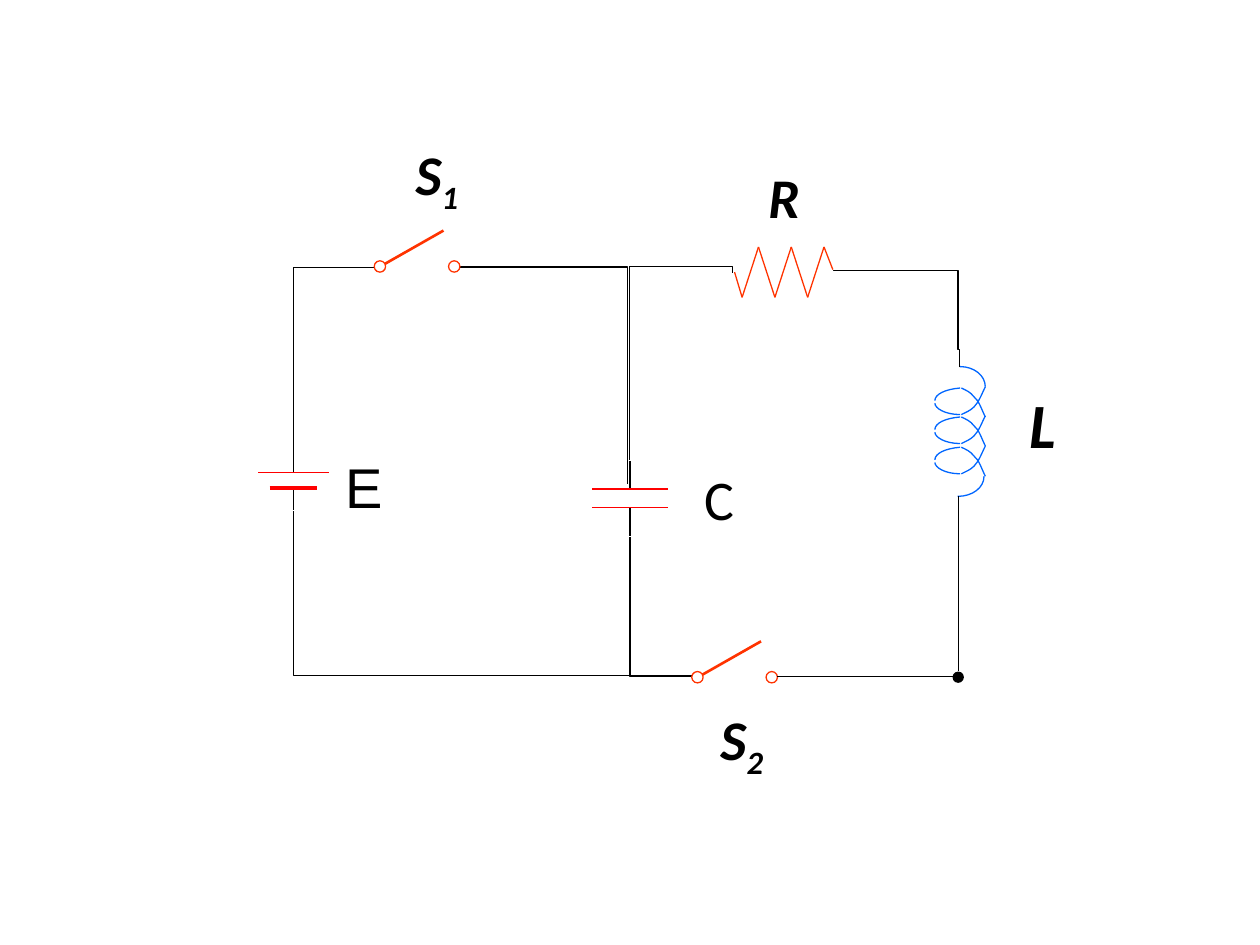
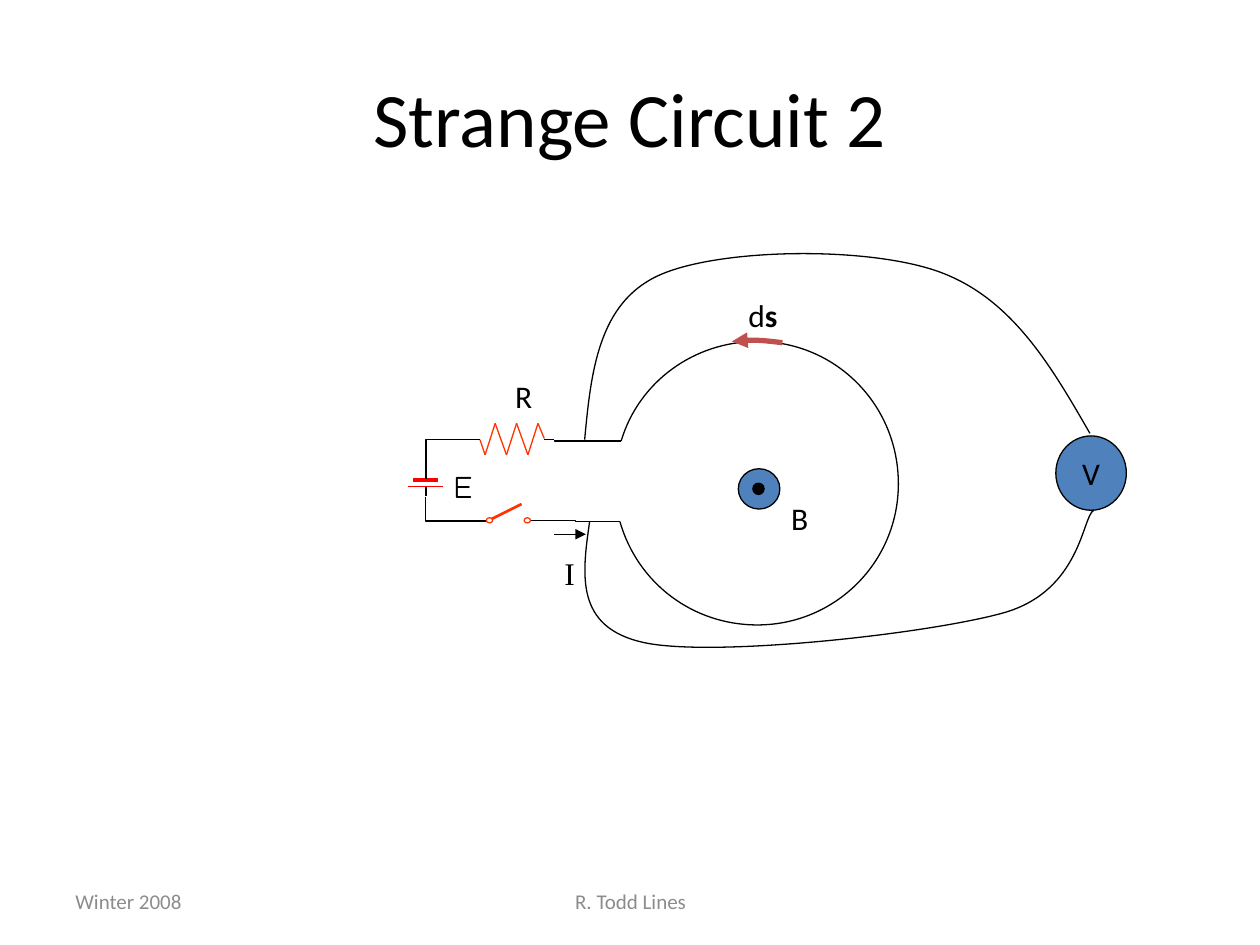
from dataclasses import dataclass
from itertools import pairwise

from lxml.etree import SubElement
from pptx import Presentation
from pptx.dml.color import RGBColor
from pptx.enum.shapes import MSO_CONNECTOR as Link, MSO_SHAPE as Preset
from pptx.enum.text import MSO_ANCHOR as Anchor, MSO_AUTO_SIZE as AutoSize, PP_ALIGN as Align
from pptx.oxml.ns import qn
from pptx.util import Emu, Pt

Point = tuple[int, int]


@dataclass(frozen=True)
class Theme:
    black: str = "000000"
    white: str = "FFFFFF"
    grey: str = "8C8C8C"
    red: str = "FF0000"
    orange: str = "FF3300"
    blue: str = "0066FF"
    disc: str = "4F81BD"
    arrow: str = "C0504D"
    font: str = "Calibri"
    title: int = 44
    inductor_label: int = 36
    large_label: int = 32
    small_label: int = 18
    footer: int = 12
    thin: float = 0.75
    lever: float = 1.5
    plate: float = 2.25
    thick: float = 3


THEME = Theme()


@dataclass(frozen=True)
class Elbow:
    left: int
    top: int
    width: int
    height: int
    kind: int
    turn: int = 0
    flip: str = ""
    bends: tuple[int, ...] = ()


@dataclass(frozen=True)
class Cell:
    x: int
    first_y: int
    second_y: int
    first_half: int
    second_half: int
    lead: int
    second_weight: float = THEME.plate


@dataclass(frozen=True)
class Switch:
    left: int
    top: int
    width: int
    height: int
    gap: int
    lever_start: Point
    lever_end: Point


@dataclass(frozen=True)
class Resistor:
    start: Point
    end: Point
    first_x: int
    last_x: int
    top: int
    bottom: int


@dataclass(frozen=True)
class Label:
    text: str
    left: int
    top: int
    width: int
    height: int
    size: int
    font: str = THEME.font
    emphasis: bool = False
    subscript: str = ""
    bold_tail: str = ""
    color: str = THEME.black
    align: Align = Align.LEFT
    wrap: bool = False


def px(length: float) -> Emu:
    return Emu(round(length * 9144))


def rgb(color: str) -> RGBColor:
    return RGBColor.from_string(color)


def style_line(shape, color: str, weight: float) -> None:
    shape.line.color.rgb = rgb(color)
    shape.line.width = Pt(weight)


def add_arrowhead(shape, end: str) -> None:
    SubElement(shape.line._get_or_add_ln(), qn(f"a:{end}"), type="triangle")


def add_link(shapes, kind: Link, start: Point, end: Point, color: str, weight: float):
    link = shapes.add_connector(kind, *map(px, start + end))
    style_line(link, color, weight)
    SubElement(link.element.spPr, qn("a:effectLst"))
    return link


def add_line(shapes, start: Point, end: Point, color: str = THEME.black, weight: float = THEME.thin):
    return add_link(shapes, Link.STRAIGHT, start, end, color, weight)


def add_elbow(shapes, elbow: Elbow) -> None:
    end = (elbow.left + elbow.width, elbow.top + elbow.height)
    link = add_link(shapes, Link.ELBOW, (elbow.left, elbow.top), end, THEME.black, THEME.thin)
    frame = link.element.spPr.find(qn("a:xfrm"))
    frame.set("rot", str(elbow.turn * 60000))
    for axis in elbow.flip:
        frame.set(f"flip{axis}", "1")
    geometry = link.element.spPr.find(qn("a:prstGeom"))
    geometry.set("prst", f"bentConnector{elbow.kind}")
    adjustments = geometry.find(qn("a:avLst"))
    for number, bend in enumerate(elbow.bends, 1):
        SubElement(adjustments, qn("a:gd"), name=f"adj{number}", fmla=f"val {bend}")


def add_curve(shapes, points: list[Point], color: str = THEME.black, weight: float = THEME.thin):
    start, *controls = [(px(x), px(y)) for x, y in points]
    builder = shapes.build_freeform(*start)
    builder.add_line_segments(controls, close=False)
    shape = builder.convert_to_shape()
    outline = next(shape.element.iter(qn("a:path")))
    segments = outline.findall(qn("a:lnTo"))
    for index in range(0, len(segments), 3):
        bezier = SubElement(outline, qn("a:cubicBezTo"))
        for segment in segments[index:index + 3]:
            bezier.append(segment[0])
            outline.remove(segment)
    shape.fill.background()
    shape.shadow.inherit = False
    style_line(shape, color, weight)
    return shape


def add_ellipse(shapes, left: int, top: int, width: int, height: int, fill: str, line: str = ""):
    shape = shapes.add_shape(Preset.OVAL, *map(px, (left, top, width, height)))
    shape.shadow.inherit = False
    shape.fill.solid()
    shape.fill.fore_color.rgb = rgb(fill)
    if line:
        style_line(shape, line, THEME.thin)
    else:
        shape.line.fill.background()
    return shape


def format_paragraph(paragraph, size: int, color: str, align: Align, font: str = THEME.font) -> None:
    paragraph.alignment = align
    paragraph.font.name = font
    paragraph.font.size = Pt(size)
    paragraph.font.color.rgb = rgb(color)


def add_label(shapes, label: Label) -> None:
    box = shapes.add_textbox(*map(px, (label.left, label.top, label.width, label.height)))
    frame = box.text_frame
    frame.word_wrap = label.wrap
    frame.auto_size = AutoSize.NONE if label.wrap else AutoSize.SHAPE_TO_FIT_TEXT
    frame.vertical_anchor = Anchor.MIDDLE if label.wrap else Anchor.TOP
    paragraph = frame.paragraphs[0]
    format_paragraph(paragraph, label.size, label.color, label.align, label.font)
    if label.emphasis:
        paragraph.font.bold = paragraph.font.italic = True
    paragraph.add_run().text = label.text
    if label.subscript:
        run = paragraph.add_run()
        run.text = label.subscript
        run.font._element.set("baseline", "-25000")
    if label.bold_tail:
        run = paragraph.add_run()
        run.text = label.bold_tail
        run.font.bold = True


def add_cell(shapes, cell: Cell) -> None:
    x = cell.x
    outward = cell.lead if cell.second_y > cell.first_y else -cell.lead
    add_line(shapes, (x, cell.first_y - outward), (x, cell.first_y))
    add_line(shapes, (x, cell.second_y), (x, cell.second_y + outward))
    for y, half, weight in ((cell.first_y, cell.first_half, THEME.thin),
                            (cell.second_y, cell.second_half, cell.second_weight)):
        add_line(shapes, (x - half, y), (x + half, y), THEME.red, weight)


def add_switch(shapes, switch: Switch) -> None:
    def contact(left: int) -> None:
        add_ellipse(shapes, left, switch.top, switch.width, switch.height, THEME.white, THEME.orange)

    start, end = [(switch.left + dx, switch.top + dy) for dx, dy in (switch.lever_start, switch.lever_end)]
    contact(switch.left + switch.gap)
    add_line(shapes, start, end, THEME.orange, THEME.lever)
    contact(switch.left)


def add_resistor(shapes, resistor: Resistor) -> None:
    step = (resistor.last_x - resistor.first_x) / 5
    peaks = [(round(resistor.first_x + step * index), resistor.top if index % 2 else resistor.bottom)
             for index in range(6)]
    for start, end in pairwise([resistor.start, *peaks, resistor.end]):
        add_line(shapes, start, end, THEME.orange)


def add_inductor(shapes) -> None:
    turn_curves = [
        [(782, 0), (779, 6), (777, 12), (773, 16), (770, 19), (767, 20), (763, 22)],
        [(742, 13), (742, 17), (750, 22), (762, 22)],
        [(782, 24), (779, 18), (777, 11), (773, 8), (770, 4), (767, 3), (763, 1)],
        [(742, 11), (742, 6), (750, 2), (762, 1)],
    ]
    for turn in range(3):
        top = 307 + turn * 47 // 2
        for curve in turn_curves:
            add_curve(shapes, [(x, top + y) for x, y in curve], THEME.blue)
    add_curve(shapes, [(782, 307), (782, 298), (773, 291), (762, 291)], THEME.blue)
    add_curve(shapes, [(781, 378), (781, 387), (772, 394), (760, 394)], THEME.blue)


def build_rlc_slide(presentation) -> None:
    shapes = presentation.slides.add_slide(presentation.slide_layouts[6]).shapes
    add_inductor(shapes)
    for elbow in (
        Elbow(331, 308, 128, 324, 3, 270, "V", (-1700,)),
        Elbow(691, 463, 139, 0, 3, 270, "HV", (4300,)),
        Elbow(673, 203, 77, 100, 5, 90, "H", (18000, 1100, 99500)),
        Elbow(233, 212, 65, 145, 4, 180, "V", (50000, 100)),
        Elbow(466, 250, 149, 82, 3, 90, "HV", (103300,)),
        Elbow(469, 457, 111, 49, 4, 270, "H", (99900, 50000)),
        Elbow(365, 212, 133, 172, 2),
    ):
        add_elbow(shapes, elbow)
    add_cell(shapes, Cell(500, 388, 403, 30, 30, 22, THEME.thin))
    add_cell(shapes, Cell(233, 375, 387, 28, 19, 18))
    add_resistor(shapes, Resistor((583, 216), (661, 214), 589, 654, 196, 236))
    for left, top in ((297, 207), (549, 533)):
        add_switch(shapes, Switch(left, top, 9, 9, 59, (4, 5), (55, -24)))
    add_line(shapes, (756, 537), (617, 537))
    add_ellipse(shapes, 756, 533, 9, 9, THEME.black)
    size = THEME.large_label
    for label in (
        Label("C", 549, 364, 55, 64, size),
        Label("L", 807, 301, 42, 71, THEME.inductor_label, emphasis=True),
        Label("E", 264, 354, 50, 64, size, "Arial"),
        Label("R", 600, 124, 45, 64, size, emphasis=True),
        Label("S", 320, 106, 56, 64, size, emphasis=True, subscript="1"),
        Label("S", 562, 554, 56, 64, size, emphasis=True, subscript="2"),
    ):
        add_label(shapes, label)


def build_strange_circuit_slide(presentation) -> None:
    shapes = presentation.slides.add_slide(presentation.slide_layouts[5]).shapes
    title = shapes.title
    title.left, title.top, title.width, title.height = map(px, (50, 30, 900, 125))
    title.text_frame.text = "Strange Circuit 2"
    title.text_frame.vertical_anchor = Anchor.MIDDLE
    format_paragraph(title.text_frame.paragraphs[0], THEME.title, THEME.black, Align.CENTER)

    add_curve(shapes, [(493, 350), (507, 303), (551, 271), (601, 271), (663, 271), (713, 321), (713, 384),
                       (713, 446), (663, 496), (601, 496), (550, 496), (506, 463), (492, 414)])
    add_resistor(shapes, Resistor((381, 349), (432, 348), 385, 427, 336, 361))
    for left in (373, 432):
        add_line(shapes, (left, 349), (left + 8, 349))
    add_cell(shapes, Cell(338, 386, 381, 14, 10, 8))
    for elbow in (
        Elbow(421, 413, 71, 1, 3, 180, "", (50000,)),
        Elbow(364, 413, 22, 0, 3, 0, "V", (49800,)),
        Elbow(440, 349, 53, 1, 2, 180),
        Elbow(340, 347, 31, 35, 5, 90, "HV", (100000, 50000, 100000)),
        Elbow(352, 380, 19, 48, 2, 270, "H"),
    ):
        add_elbow(shapes, elbow)
    add_switch(shapes, Switch(386, 411, 5, 4, 30, (2, 2), (28, -11)))
    add_arrowhead(add_line(shapes, (440, 424), (465, 424)), "tailEnd")
    add_ellipse(shapes, 586, 372, 33, 32, THEME.disc, THEME.black)
    add_ellipse(shapes, 597, 383, 10, 10, THEME.black)
    path_step = add_curve(shapes, [(581, 271), (586, 270), (592, 270), (597, 270),
                                   (605, 270), (613, 271), (621, 272)], THEME.arrow, THEME.thick)
    add_arrowhead(path_step, "headEnd")

    voltmeter = add_ellipse(shapes, 838, 346, 56, 59, THEME.disc, THEME.black)
    voltmeter.text_frame.text = "V"
    voltmeter.text_frame.word_wrap = False
    voltmeter.text_frame.vertical_anchor = Anchor.MIDDLE
    format_paragraph(voltmeter.text_frame.paragraphs[0], THEME.small_label, THEME.black, Align.CENTER)
    add_curve(shapes, [(464, 349), (469, 295), (475, 241), (522, 219), (569, 197), (689, 195), (746, 216),
                       (803, 237), (834, 290), (865, 344)])
    add_curve(shapes, [(468, 414), (462, 456), (456, 498), (511, 510), (566, 522), (739, 503), (798, 486),
                       (858, 468), (859, 410), (868, 405)])
    size = THEME.small_label
    for label in (
        Label("R", 399, 294, 36, 37, size),
        Label("E", 350, 366, 32, 37, size, "Comic Neue"),
        Label("I", 438, 435, 28, 37, size, "Times New Roman"),
        Label("B", 618, 391, 35, 37, size),
        Label("d", 584, 230, 45, 37, size, bold_tail="s"),
        Label("Winter 2008", 50, 695, 233, 40, THEME.footer, color=THEME.grey, wrap=True),
        Label("R. Todd Lines", 342, 695, 317, 40, THEME.footer, color=THEME.grey, align=Align.CENTER, wrap=True),
    ):
        add_label(shapes, label)


def main() -> None:
    presentation = Presentation()
    presentation.slide_width, presentation.slide_height = px(1000), px(750)
    build_rlc_slide(presentation)
    build_strange_circuit_slide(presentation)
    presentation.save("out.pptx")


if __name__ == "__main__":
    main()
